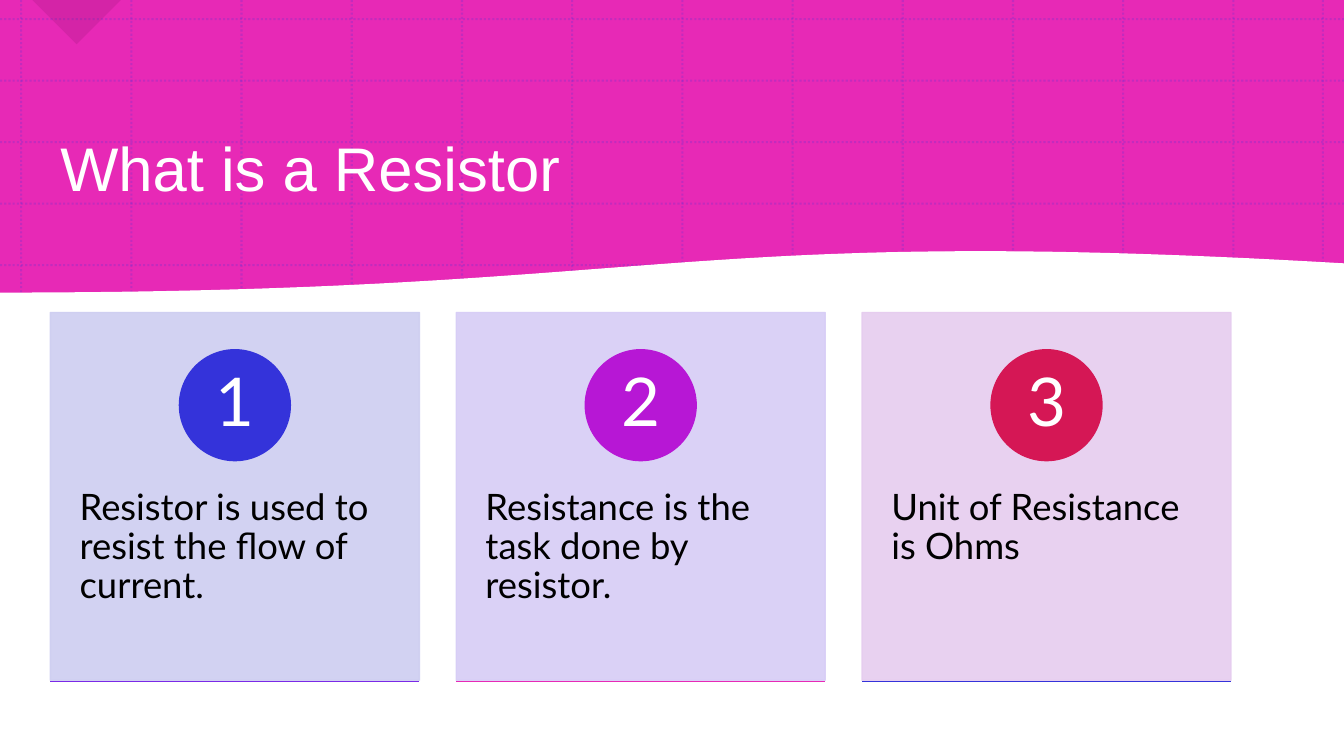
import pptx
import pptx.util
import pptx.dml.color
import pptx.enum.dml
import pptx.enum.shapes
import pptx.enum.text
import pptx.oxml
import pptx.oxml.ns

RGB = pptx.dml.color.RGBColor
SHAPE = pptx.enum.shapes.MSO_SHAPE
ANCHOR = pptx.enum.text.MSO_ANCHOR
ALIGN = pptx.enum.text.PP_ALIGN

PX = 9144  # 100 px to the inch
SLIDE_W, SLIDE_H = 1333, 750

WHITE = RGB(0xFF, 0xFF, 0xFF)
BLACK = RGB(0x00, 0x00, 0x00)
PINK = RGB(0xE7, 0x29, 0xB6)
PLUM = RGB(0x7A, 0x0E, 0x5E)
BLUE = RGB(0x34, 0x33, 0xDA)
PURPLE = RGB(0xB7, 0x17, 0xD5)
CRIMSON = RGB(0xD5, 0x17, 0x55)
VIOLET = RGB(0x7A, 0x29, 0xE7)
PALE_BLUE = RGB(0xCE, 0xCE, 0xF1)
PALE_VIOLET = RGB(0xD7, 0xCD, 0xF6)
PALE_PINK = RGB(0xE6, 0xCC, 0xEF)

CARDS = [
    ("Resistor is used to resist the flow of current.", PALE_BLUE, BLUE, VIOLET),
    ("Resistance is the task done by resistor.", PALE_VIOLET, PURPLE, PINK),
    ("Unit of Resistance is Ohms", PALE_PINK, CRIMSON, BLUE),
]


def px(*lengths):
    return [round(n * PX) for n in lengths]


def set_alpha(fmt, percent):
    """Make a solid fill, or the fill of a line, partly transparent."""
    tag = pptx.oxml.ns.qn("a:srgbClr")
    for clr in fmt.fore_color._xFill.iter(tag):
        alpha = pptx.oxml.parse_xml(
            "<a:alpha %s val='%d'/>" % (pptx.oxml.ns.nsdecls("a"), percent * 1000))
        clr.append(alpha)


def paint(sp, color, alpha=100, outline=False):
    sp.shadow.inherit = False
    fills = [sp.fill]
    if outline:
        sp.line.width = pptx.util.Pt(1)
        fills.append(sp.line.fill)
    else:
        sp.line.fill.background()
    for fill in fills:
        fill.solid()
        fill.fore_color.rgb = color
        if alpha < 100:
            set_alpha(fill, alpha)


def add_shape(slide, kind, box, color, **look):
    sp = slide.shapes.add_shape(kind, *px(*box))
    paint(sp, color, **look)
    return sp


def add_line(slide, x1, y1, x2, y2, color, width):
    line = slide.shapes.add_connector(
        pptx.enum.shapes.MSO_CONNECTOR.STRAIGHT, *px(x1, y1, x2, y2))
    line.line.color.rgb = color
    line.line.width = pptx.util.Pt(width)
    line._element.spPr.append(pptx.oxml.parse_xml(
        "<a:effectLst %s/>" % pptx.oxml.ns.nsdecls("a")))
    return line


def add_text(slide, box, text, font, insets=(10, 5), anchor=ANCHOR.TOP, align=ALIGN.LEFT):
    tf = slide.shapes.add_textbox(*px(*box)).text_frame
    side, top = px(*insets)
    frame = {"word_wrap": True, "vertical_anchor": anchor, "margin_left": side,
             "margin_right": side, "margin_top": top, "margin_bottom": top}
    for name, value in frame.items():
        setattr(tf, name, value)
    p = tf.paragraphs[0]
    p.alignment, p.line_spacing = align, 0.9
    r = p.add_run()
    r.text = text
    r.font.color.rgb = font["color"]
    for name in ("name", "size"):
        setattr(r.font, name, font[name])


def add_grid(slide, x, y, w, h):
    columns = [x + 21 + 109.3 * i for i in range(12)] + [x + 1312]
    rows = [y + 19 + 61 * i for i in range(5)]
    ends = [(cx, y, cx, y + h) for cx in columns] + [(x, ry, x + w, ry) for ry in rows]
    for end in ends:
        line = add_line(slide, *end, BLUE, 1.5)
        line.line.dash_style = pptx.enum.dml.MSO_LINE.ROUND_DOT
        set_alpha(line.line.fill, 20)


def add_wave(slide, x, y, w, h):
    """White area whose upper edge is one Bézier curve."""
    curve = [(0, 41), (w / 2, 41), (w / 2, -27), (w, 12)]
    steps = 60
    points = []
    for i in range(steps + 1):
        t = i / steps
        weights = ((1 - t) ** 3, 3 * t * (1 - t) ** 2, 3 * t * t * (1 - t), t ** 3)
        points.append(px(x + sum(k * c[0] for k, c in zip(weights, curve)),
                         y + sum(k * c[1] for k, c in zip(weights, curve))))
    points += [px(x + w, y + h), px(x, y + h)]
    builder = slide.shapes.build_freeform(*points[0], scale=1.0)
    builder.add_line_segments(points[1:], close=True)
    paint(builder.convert_to_shape(), WHITE, outline=True)


def add_header(slide, x, y, w, h):
    add_shape(slide, SHAPE.RECTANGLE, (x, y, w, h), PINK)
    add_grid(slide, x, y, w, h)
    corner = add_shape(slide, SHAPE.RIGHT_TRIANGLE, (x + 45, y - 31, 62, 62), PLUM, alpha=17)
    corner.rotation = 315
    add_wave(slide, x, y + 250, w, h - 250)
    font = {"name": "Arial", "size": pptx.util.Pt(44), "color": WHITE}
    add_text(slide, (x + 50, y + 79, 1175, 183), "What is a Resistor", font,
             anchor=ANCHOR.MIDDLE)


def add_card(slide, x, y, w, h, number, text, pale, strong, rule):
    add_shape(slide, SHAPE.RECTANGLE, (x, y, w, h), pale, alpha=90, outline=True)
    body = {"name": "Lato", "size": pptx.util.Pt(26), "color": BLACK}
    add_text(slide, (x, y + 139, w, 219), text, body, insets=(29, 36))
    disc = 110
    left = x + (w - disc) / 2
    add_shape(slide, SHAPE.OVAL, (left, y + 37, disc, disc), strong, outline=True)
    digit = {"name": "Lato", "size": pptx.util.Pt(48), "color": WHITE}
    add_text(slide, (left + 16, y + 53, 78, 78), str(number), digit, insets=(9, 1),
             anchor=ANCHOR.MIDDLE, align=ALIGN.CENTER)
    add_line(slide, x, y + h + 1, x + w, y + h + 1, rule, 1)


def add_cards(slide, x, y, w, h):
    card_w = 366
    pitch = (w - card_w) / (len(CARDS) - 1)
    for i, card in enumerate(CARDS):
        add_card(slide, x + i * pitch, y, card_w, h, i + 1, *card)


def main():
    prs = pptx.Presentation()
    prs.slide_width, prs.slide_height = px(SLIDE_W, SLIDE_H)
    slide = prs.slides.add_slide(prs.slide_layouts[6])
    add_header(slide, 0, 0, SLIDE_W, SLIDE_H)
    add_cards(slide, 50, 310, 1171, 365)
    prs.save("out.pptx")


if __name__ == "__main__":
    main()
